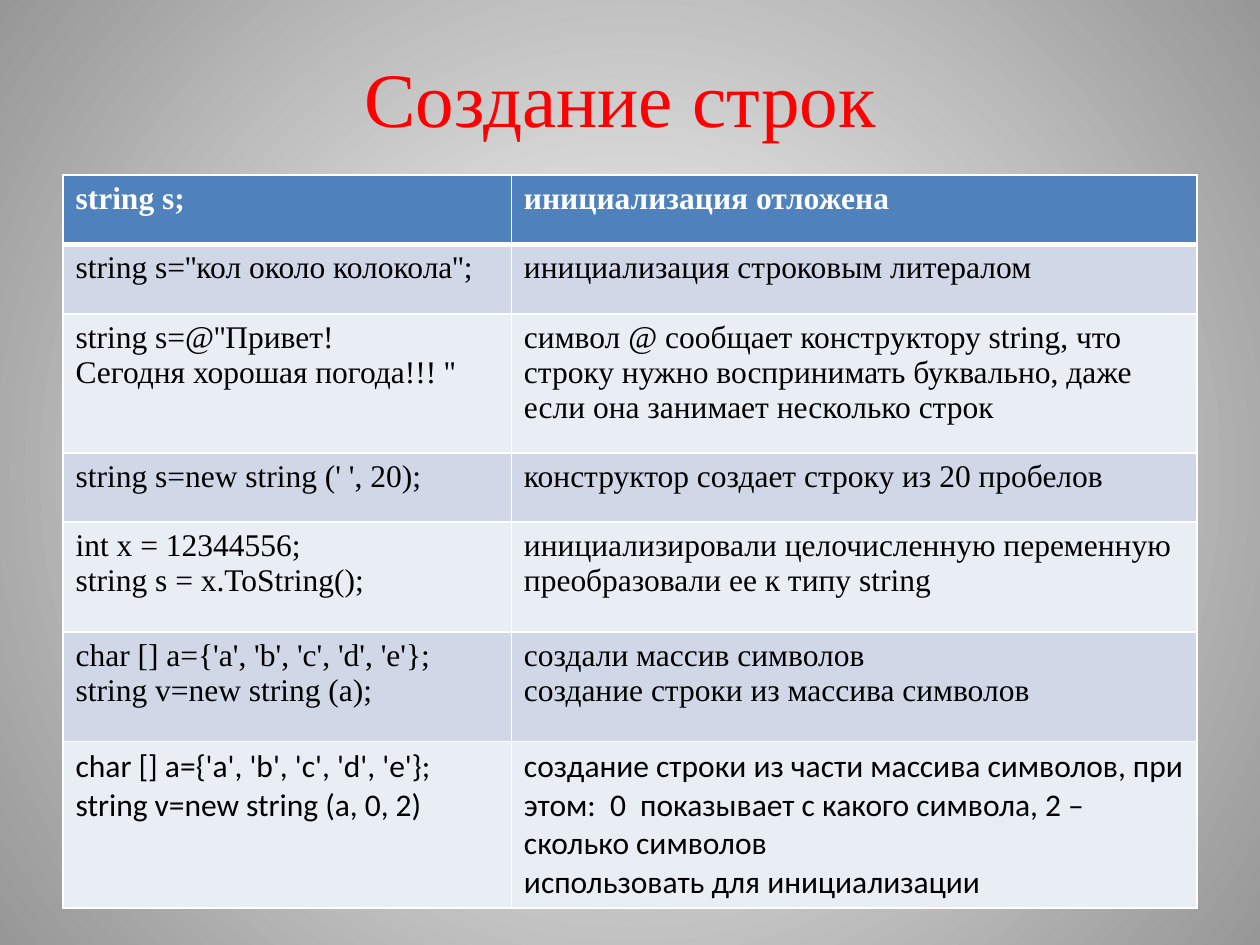
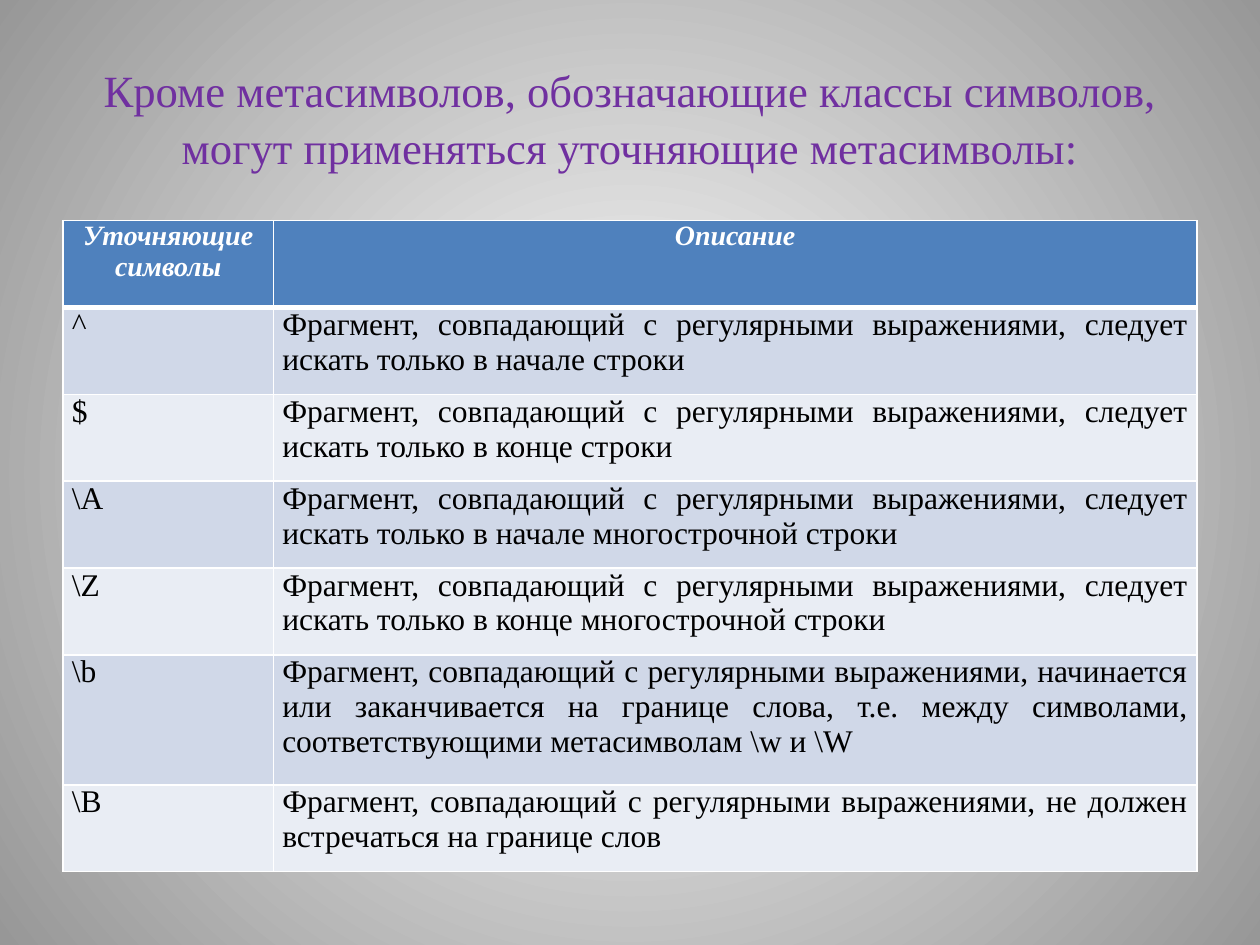
from pptx import Presentation
from pptx.dml.color import RGBColor
from pptx.enum.text import MSO_ANCHOR, MSO_AUTO_SIZE, PP_ALIGN
from pptx.oxml import parse_xml
from pptx.oxml.ns import nsdecls, qn
from pptx.util import Cm, Pt

LEFT, CENTER, JUSTIFY = PP_ALIGN.LEFT, PP_ALIGN.CENTER, PP_ALIGN.JUSTIFY
MIDDLE = MSO_ANCHOR.MIDDLE
NO_AUTOFIT = MSO_AUTO_SIZE.NONE

COLORS = {
    "white": "FFFFFF",
    "black": "000000",
    "edge": "979797",
    "red": "FF0000",
    "purple": "7030A0",
    "header": "4F81BD",
    "odd": "D0D8E8",
    "even": "E9EDF4",
}
SERIF, SANS = "Times New Roman", "Calibri"
TITLE_ONLY = 5
MARGIN, CONTENT_WIDTH = 1.27, 22.86

STRING_ROWS = [
    ("string s;", "инициализация отложена"),
    ("string s=''кол около колокола'';", "инициализация строковым литералом"),
    ("string s=@''Привет!\nСегодня хорошая погода!!! ''",
     "символ @ сообщает конструктору string, что строку нужно "
     "воспринимать буквально, даже если она занимает несколько строк"),
    ("string s=new string (' ', 20);", "конструктор создает строку из 20 пробелов"),
    ("int x = 12344556;\nstring s = x.ToString();",
     "инициализировали целочисленную переменную преобразовали ее к типу string"),
    ("char [] a={'a', 'b', 'c', 'd', 'e'};\nstring v=new string (a);",
     "создали массив символов\nсоздание строки из массива символов"),
    ("char [] a={'a', 'b', 'c', 'd', 'e'};\nstring v=new string (a, 0, 2)",
     "создание строки из части массива символов, при этом:  0  показывает "
     "с какого символа, 2 – сколько символов\nиспользовать для инициализации"),
]

FRAGMENT = "Фрагмент, совпадающий с регулярными выражениями, "
METACHARACTERS = [
    ("^", "следует искать только в начале строки"),
    ("$", "следует искать только в конце строки"),
    ("\\А", "следует искать только в начале многострочной строки"),
    ("\\Z", "следует искать только в конце многострочной строки"),
    ("\\b", "начинается или заканчивается на границе слова, т.е. между "
            "символами, соответствующими метасимволам \\w и \\W"),
    ("\\B", "не должен встречаться на границе слов"),
]


def color(name):
    return RGBColor.from_string(COLORS[name])


def write_text(frame, text, font=SERIF, size=18, fill="black", bold=False,
               italic=False, align=LEFT, spacing=None):
    for index, line in enumerate(text.split("\n")):
        paragraph = frame.add_paragraph() if index else frame.paragraphs[0]
        paragraph.alignment = align
        if spacing:
            paragraph.line_spacing = spacing
        run = paragraph.add_run()
        run.text = line
        run.font.name = font
        run.font.size = Pt(size)
        run.font.bold = bold
        run.font.italic = italic
        run.font.color.rgb = color(fill)


class Deck:
    def __init__(self):
        self.presentation = Presentation()
        self.presentation.slide_width = Cm(25.4)
        self.presentation.slide_height = Cm(19.05)
        self.slide = None
        self.set_background()

    def set_background(self):
        master = self.presentation.slide_master
        fill = master.background.fill
        fill.gradient()
        for stop, name, position in zip(fill.gradient_stops, ("white", "edge"), (0, 1)):
            stop.color.rgb = color(name)
            stop.position = position
        gradient = master.element.find(".//" + qn("a:gradFill"))
        gradient.replace(gradient.find(qn("a:lin")), parse_xml(
            f'<a:path {nsdecls("a")} path="circle">'
            '<a:fillToRect l="50000" t="50000" r="50000" b="50000"/></a:path>'))

    def add_slide(self):
        layout = self.presentation.slide_layouts[TITLE_ONLY]
        self.slide = self.presentation.slides.add_slide(layout)

    def add_title(self, text, height, **style):
        title = self.slide.shapes.title
        title.left, title.top = Cm(MARGIN), Cm(0.76)
        title.width, title.height = Cm(CONTENT_WIDTH), Cm(height)
        frame = title.text_frame
        frame.word_wrap = True
        frame.auto_size = NO_AUTOFIT
        frame.vertical_anchor = MIDDLE
        write_text(frame, text, align=CENTER, **style)

    def add_border(self, cell, is_header):
        properties = cell._tc.get_or_add_tcPr()
        for side in "LRTB":
            width = Pt(3 if is_header and side == "B" else 1)
            properties.append(parse_xml(
                f'<a:ln{side} {nsdecls("a")} w="{width}"><a:solidFill>'
                f'<a:srgbClr val="{COLORS["white"]}"/></a:solidFill></a:ln{side}>'))

    def add_table(self, rows, top, first_width, heights, header_style,
                  body_style, last_style=None, margins=None):
        table = self.slide.shapes.add_table(
            len(rows), 2, Cm(MARGIN), Cm(top), Cm(CONTENT_WIDTH), Cm(sum(heights))).table
        for column, width in zip(table.columns, (first_width, CONTENT_WIDTH - first_width)):
            column.width = Cm(width)
        for index, (row, texts) in enumerate(zip(table.rows, rows)):
            row.height = Cm(heights[index])
            band, style = "odd" if index % 2 else "even", body_style
            if index == 0:
                band, style = "header", dict(fill="white", bold=True, **header_style)
            elif index == len(rows) - 1 and last_style:
                style = last_style
            for cell, text in zip(row.cells, texts):
                self.add_border(cell, index == 0)
                cell.fill.solid()
                cell.fill.fore_color.rgb = color(band)
                if margins:
                    cell.margin_left = cell.margin_right = Cm(margins[0])
                    cell.margin_top = cell.margin_bottom = Cm(margins[1])
                write_text(cell.text_frame, text, **style)


def main():
    deck = Deck()

    deck.add_slide()
    deck.add_title("Создание строк ", 2.36, size=44, fill="red")
    deck.add_table(STRING_ROWS, 3.53, 9.04, [1.4, 1.4, 2.8, 1.4, 2.21, 2.21, 3.3],
                   header_style={}, body_style={}, last_style={"font": SANS})

    deck.add_slide()
    deck.add_title("Кроме метасимволов, обозначающие классы символов, "
                   "могут применяться уточняющие метасимволы:",
                   3.18, size=25.5, fill="purple", spacing=1.07)
    rows = [("Уточняющие символы", "Описание")]
    rows += [(symbol, FRAGMENT + meaning) for symbol, meaning in METACHARACTERS]
    deck.add_table(rows, 4.45, 4.24, [1.75] * 5 + [2.62, 1.75],
                   header_style={"size": 16, "italic": True, "align": CENTER},
                   body_style={"align": JUSTIFY}, margins=(0.18, 0))

    deck.presentation.save("out.pptx")


if __name__ == "__main__":
    main()
